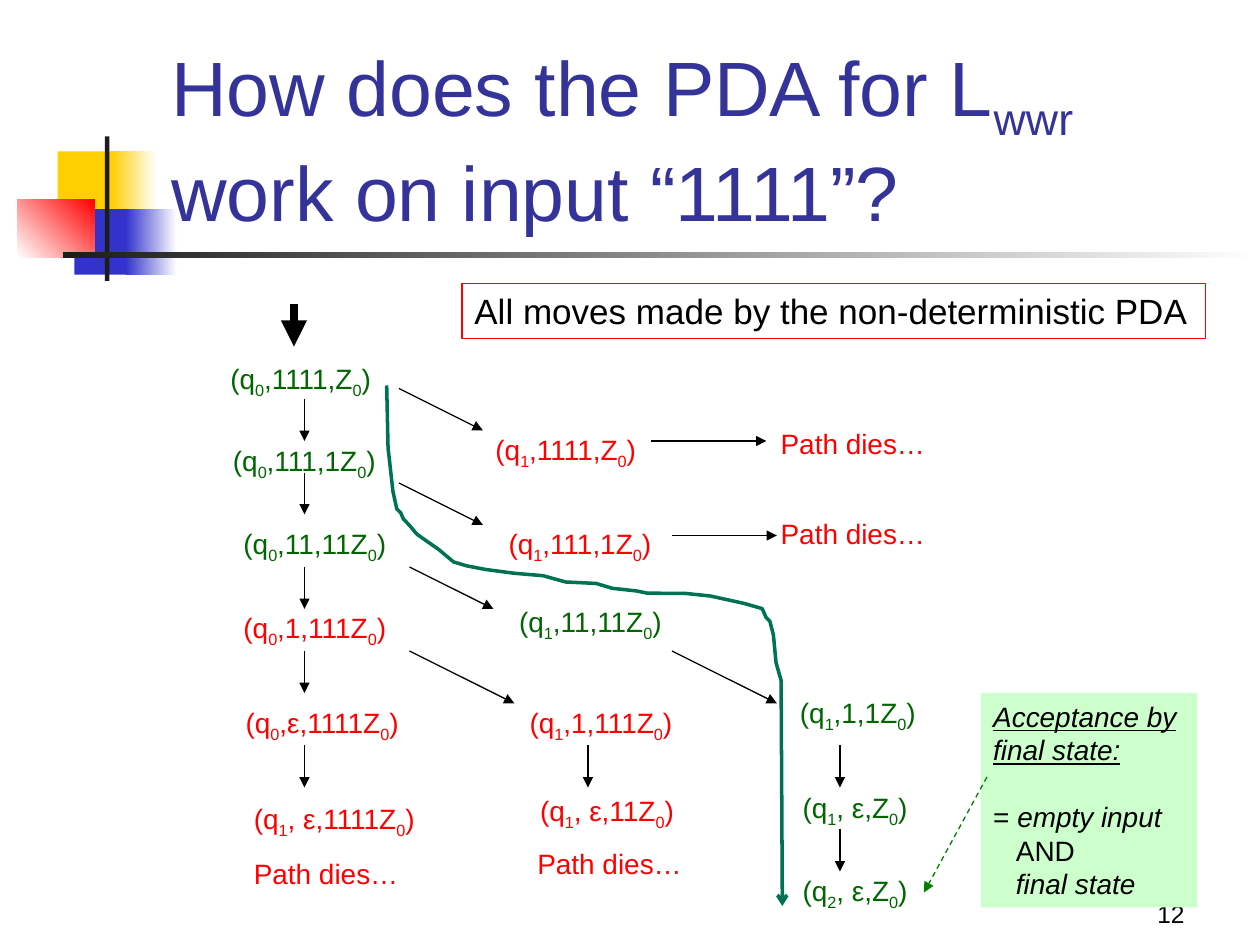
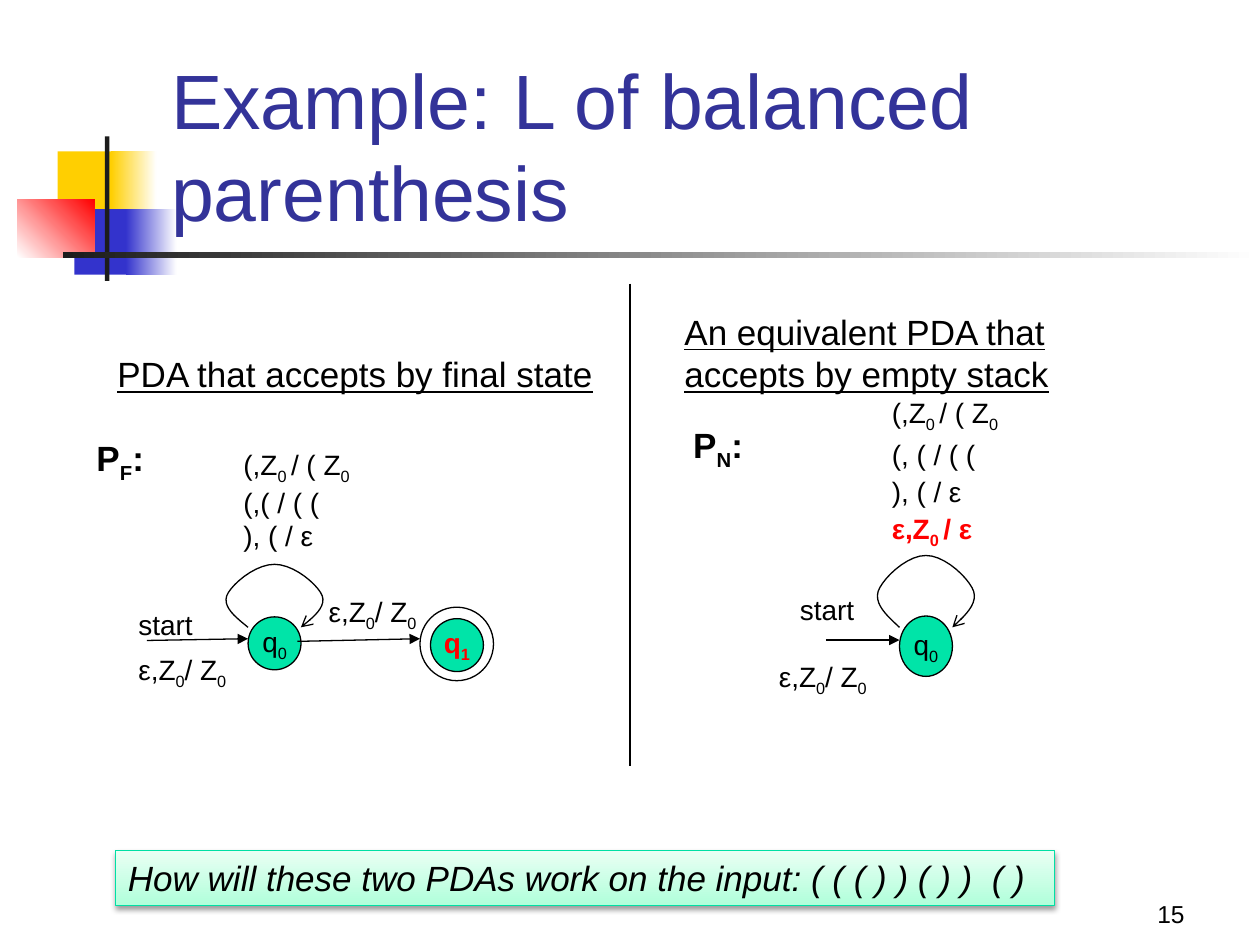
import pptx
import pptx.dml.color
import pptx.enum.dml
import pptx.enum.shapes
import pptx.enum.text
import pptx.oxml
import pptx.oxml.ns
import pptx.util

Pt = pptx.util.Pt
RGBColor = pptx.dml.color.RGBColor
Align = pptx.enum.text.PP_ALIGN
Anchor = pptx.enum.text.MSO_ANCHOR
ShapeType = pptx.enum.shapes.MSO_SHAPE

BLACK = RGBColor(0, 0, 0)
WHITE = RGBColor(255, 255, 255)
INK = RGBColor(0x1C, 0x1C, 0x1C)
YELLOW = RGBColor(0xFF, 0xCF, 0x01)
BLUE = RGBColor(0x33, 0x33, 0xCC)
TITLE_BLUE = RGBColor(0x33, 0x33, 0x99)
RED = RGBColor(255, 0, 0)
GREEN = RGBColor(0, 0x66, 0)
DASH_GREEN = RGBColor(0, 0x80, 0)
TRAIL_GREEN = RGBColor(0, 0x72, 0x54)
PALE_GREEN = RGBColor(0xCC, 0xFF, 0xCC)
STATE_GREEN = RGBColor(0, 0xE4, 0xA8)
BOX_LINE = RGBColor(0, 0xDF, 0xA4)
BOX_DARK = RGBColor(0xB0, 0xFF, 0xDA)
BOX_LIGHT = RGBColor(0xEA, 0xFF, 0xF4)
FONT = "Arial"
STACK_MOVE = "ε,Z~0~/ Z~0~"


def write_text(shape, lines, size=16, color=BLACK, bold=False, italic=False,
               underline=False, align=Align.LEFT, anchor=Anchor.TOP, wrap=True):
    """Write one paragraph per line; text between tildes is subscript."""
    frame = shape.text_frame
    frame.word_wrap = wrap
    frame.vertical_anchor = anchor
    for index, line in enumerate(lines):
        paragraph = frame.add_paragraph() if index else frame.paragraphs[0]
        paragraph.alignment = align
        for position, piece in enumerate(line.split("~")):
            if not piece:
                continue
            run = paragraph.add_run()
            run.text = piece
            font = run.font
            font.name, font.size, font.color.rgb = FONT, Pt(size), color
            font.bold, font.italic, font.underline = bold, italic, underline
            if position % 2:
                font._element.set("baseline", "-25000")
    return frame.paragraphs


def add_text(slide, left, top, width, height, *lines, **style):
    """Add a text box and return it."""
    box = slide.shapes.add_textbox(Pt(left), Pt(top), Pt(width), Pt(height))
    write_text(box, lines, **style)
    return box


def fill_gradient(shape, start, end, angle=0):
    """Fill a shape with a two-colour gradient, angle counter-clockwise."""
    shape.fill.gradient()
    shape.fill.gradient_angle = angle
    for stop, color in zip(shape.fill.gradient_stops, (start, end)):
        stop.color.rgb = color


def set_line(shape, color, width=0.75):
    """Give a shape a solid outline."""
    shape.line.color.rgb = color
    shape.line.width = Pt(width)


def add_effects(shape, content=""):
    """Set the effect list of a shape; empty means no shadow."""
    namespace = pptx.oxml.ns.nsdecls("a")
    shape._element.spPr.append(pptx.oxml.parse_xml(
        f"<a:effectLst {namespace}>{content}</a:effectLst>"))


def add_arrowhead(shape, kind):
    """Put an arrowhead at the end of a line."""
    namespace = pptx.oxml.ns.nsdecls("a")
    shape.line._get_or_add_ln().append(pptx.oxml.parse_xml(
        f'<a:tailEnd {namespace} type="{kind}"/>'))


def add_line(slide, x1, y1, x2, y2, color=BLACK, width=0.75, arrow=True, dashed=False):
    """Add a straight line, with an arrowhead unless told otherwise."""
    line = slide.shapes.add_connector(
        pptx.enum.shapes.MSO_CONNECTOR.STRAIGHT, Pt(x1), Pt(y1), Pt(x2), Pt(y2))
    set_line(line, color, width)
    if dashed:
        line.line.dash_style = pptx.enum.dml.MSO_LINE.DASH
    if arrow:
        add_arrowhead(line, "triangle")
    add_effects(line)


def add_curve(slide, points, color, width):
    """Add an open outline through the points, ending in an arrowhead."""
    places = [(Pt(x), Pt(y)) for x, y in points]
    builder = slide.shapes.build_freeform(*places[0], scale=1.0)
    builder.add_line_segments(places[1:], close=False)
    curve = builder.convert_to_shape()
    curve.shadow.inherit = False
    curve.fill.background()
    set_line(curve, color, width)
    add_arrowhead(curve, "arrow")


def bezier(p0, p1, p2, p3, steps=10):
    """Return points along a cubic curve."""
    weights = [((1 - t) ** 3, 3 * t * (1 - t) ** 2, 3 * t * t * (1 - t), t ** 3)
               for t in (step / steps for step in range(steps + 1))]
    return [tuple(sum(w * p[axis] for w, p in zip(row, (p0, p1, p2, p3)))
                  for axis in (0, 1)) for row in weights]


def add_loop(slide, left, bottom, stretch=1):
    """Add the self-loop above a state: a half curve and its mirror image."""
    shoulder = (-12.2, -18)
    half = bezier((0, 0), (-7.2, -5.8), (-14.4, -11.5), shoulder)
    half += bezier(shoulder, (-10.1, -23.8), (3.6, -36), (15.1, -36))[1:]
    whole = half + [(30.2 - x, y) for x, y in reversed(half[:-1])]
    add_curve(slide, [(left + x, bottom + y * stretch) for x, y in whole], BLACK, 0.75)


def add_state(slide, left, top, width, height, name="", color=BLACK, bold=False):
    """Add an automaton state; without a name it is an empty ring."""
    state = slide.shapes.add_shape(ShapeType.OVAL, Pt(left), Pt(top), Pt(width), Pt(height))
    state.shadow.inherit = False
    set_line(state, BLACK)
    if name:
        state.fill.solid()
        state.fill.fore_color.rgb = STATE_GREEN
        write_text(state, [name], color=color, bold=bold, align=Align.CENTER,
                   anchor=Anchor.MIDDLE, wrap=False)
    else:
        state.fill.background()


def add_band(slide, left, top, width, height, start, end=None, angle=0):
    """Add one borderless block of the title decoration."""
    band = slide.shapes.add_shape(
        ShapeType.RECTANGLE, Pt(left), Pt(top), Pt(width), Pt(height))
    band.shadow.inherit = False
    band.line.fill.background()
    if end is None:
        band.fill.solid()
        band.fill.fore_color.rgb = start
    else:
        fill_gradient(band, start, end, angle)


def add_base_slide(presentation, title, number):
    """Add a slide with decoration, title and slide number."""
    slide = presentation.slides.add_slide(presentation.slide_layouts[6])
    add_band(slide, 33, 86.5, 34.5, 37.5, YELLOW)
    add_band(slide, 63.5, 86.5, 26, 37.5, YELLOW, WHITE)
    add_band(slide, 42.5, 119.5, 33, 37.5, BLUE)
    add_band(slide, 72, 119.5, 29, 37.5, BLUE, WHITE)
    add_band(slide, 10, 113.75, 44, 33.25, WHITE, RED, 45)
    add_band(slide, 60, 78, 2.5, 82.5, INK)
    add_band(slide, 36, 144, 684, 3.5, INK, WHITE)
    add_text(slide, 534, 498, 150, 36, str(number), size=14,
             align=Align.RIGHT, anchor=Anchor.BOTTOM)
    add_text(slide, 90.75, 49, 613.5, 90, title, size=44, color=TITLE_BLUE,
             anchor=Anchor.BOTTOM)
    return slide


def add_acceptance_note(slide):
    """Add the green note that explains acceptance."""
    box = add_text(slide, 560.5, 396, 123.75, 122.5, "Acceptance by", "final state:",
                   "= ~empty input", "AND", "final state", italic=True)
    box.fill.solid()
    box.fill.fore_color.rgb = PALE_GREEN
    first, second, rule, conjunction, last = box.text_frame.paragraphs
    for run in first.runs + second.runs:
        run.font.underline = True
    rule.space_before = Pt(19)
    rule.runs[0].font.italic = conjunction.runs[0].font.italic = False
    rule.runs[1].font._element.set("baseline", "0")
    for paragraph in (conjunction, last):
        paragraph._p.get_or_add_pPr().set("marL", str(Pt(13)))


def build_moves_slide(presentation):
    """Build the tree of moves on input 1111."""
    slide = add_base_slide(
        presentation, "How does the PDA for L~wwr~ work on input “1111”?", 12)
    configurations = [
        (124.5, 203, 0, "1111,", GREEN), (126, 250, 0, "111,1", GREEN),
        (132, 297.5, 0, "11,11", GREEN), (132, 345.5, 0, "1,111", RED),
        (133.25, 399.5, 0, "ε,1111", RED), (138, 454.5, 1, " ε,1111", RED),
        (301.5, 450, 1, " ε,11", RED), (295.5, 399.5, 1, "1,111", RED),
        (289.5, 342, 1, "11,11", GREEN), (283.5, 297.5, 1, "111,1", RED),
        (276, 243.5, 1, "1111,", RED), (450, 394, 1, "1,1", GREEN),
        (451.5, 448, 1, " ε,", GREEN), (451.5, 495.5, 2, " ε,", GREEN)]
    for left, top, state, rest, color in configurations:
        add_text(slide, left, top, 120, 26.5, f"(q~{state}~,{rest}Z~0~)", color=color)
    for left, top in [(439, 240), (439, 291.5), (300, 480), (138, 486)]:
        add_text(slide, left, top, 106.5, 26.5, "Path dies…", color=RED)

    for x, y in [(174, 228), (174, 270), (174, 324), (174, 372), (174, 426),
                 (336, 426), (480, 426), (480, 474)]:
        add_line(slide, x, y, x, y + 24)
    for x, y, width, height in [
            (228, 222, 48, 24), (228, 276, 48, 24), (234, 324, 48, 24),
            (234, 372, 60, 30), (384, 372, 60, 30), (372, 252, 66, 0),
            (384, 306, 60, 0)]:
        add_line(slide, x, y, x + width, y + height)

    add_acceptance_note(slide)
    add_line(slide, 564, 444, 528, 510, DASH_GREEN, dashed=True)
    heading = add_text(slide, 264, 162, 425, 31.5,
                       "All moves made by the non-deterministic PDA", size=20)
    set_line(heading, RED)
    accepting_trail = [
        (221, 220.3), (221.8, 256.3), (222.5, 262), (224.6, 280.8), (226.8, 290.9),
        (229, 293), (230.5, 296.5), (234, 300.2), (238.3, 305.3), (243.4, 308.9),
        (250.6, 313.9), (259.2, 321.1), (266.4, 323.3), (277.2, 325.4),
        (293.8, 327.6), (310.3, 329), (323.3, 332.6), (340.6, 333.4),
        (349.9, 336.2), (363.6, 337.7), (370, 339), (391.7, 339.1), (406, 340.6),
        (425.5, 344.9), (435.6, 347.8), (437.8, 352.8), (440, 355), (442, 362.9),
        (443.5, 378.7), (446.4, 388.8), (447.1, 517.7)]
    add_curve(slide, accepting_trail, TRAIL_GREEN, 2)
    add_line(slide, 168, 174, 168, 198, width=5)


def build_parenthesis_slide(presentation):
    """Build the two automata for balanced parentheses."""
    slide = add_base_slide(presentation, "Example: L of balanced parenthesis", 15)
    add_line(slide, 360, 162, 360, 438, arrow=False)

    add_text(slide, 60, 198, 288, 31.5, "PDA that accepts by final state",
             size=20, underline=True)
    add_text(slide, 48, 246, 48, 31.5, "P~F~:", size=20, bold=True)
    add_text(slide, 132, 252, 90, 65.5, "(,Z~0 ~/ ( Z~0~", "(,( / ( (", "), ( / ε")
    add_state(slide, 141.75, 352.5, 30.25, 30.25, "q~0~")
    add_loop(slide, 141.75, 358.5)
    add_line(slide, 84, 366, 141.75, 365)
    add_line(slide, 170, 366.5, 240, 365)
    add_state(slide, 240, 347, 42, 42)
    add_state(slide, 246, 353.5, 30.25, 30.25, "q~1~", RED, True)
    add_text(slide, 72, 343.5, 60, 26.5, "start")
    add_text(slide, 180.75, 336, 72, 26.5, STACK_MOVE)
    add_text(slide, 72, 369.5, 72, 26.5, STACK_MOVE)

    add_text(slide, 384, 174, 240, 64, "An equivalent PDA that", "accepts by empty stack",
             size=20, underline=True)
    add_text(slide, 389, 238.5, 48, 31.5, "P~N~:", size=20, bold=True)
    moves = add_text(slide, 502.5, 222.5, 90, 97, "(,Z~0 ~/ ( Z~0~", "(, ( / ( (",
                     "), ( / ε", "ε,Z~0 ~/ ε")
    for paragraph in moves.text_frame.paragraphs[1:]:
        paragraph.space_before = Pt(2)
    for run in moves.text_frame.paragraphs[-1].runs:
        run.font.bold = True
        run.font.color.rgb = RED
    add_state(slide, 514, 352, 30.25, 34.5, "q~0~")
    add_loop(slide, 514, 358.5, 1.14)
    add_line(slide, 472, 365.75, 514, 365.75)
    add_text(slide, 450, 335, 60, 31, "start")
    add_text(slide, 438, 373.5, 72, 31, STACK_MOVE)

    question = add_text(slide, 66, 486, 536.5, 31.5,
                        "How will these two PDAs work on the input: ( ( ( ) ) ( ) )  ( )",
                        size=20, italic=True)
    fill_gradient(question, BOX_DARK, BOX_LIGHT, 90)
    set_line(question, BOX_LINE)
    add_effects(question, f'<a:outerShdw blurRad="{Pt(3.1)}" dist="{Pt(1.6)}" dir="5400000">'
                '<a:srgbClr val="000000"><a:alpha val="38000"/></a:srgbClr></a:outerShdw>')


def main():
    """Create the presentation and save it."""
    presentation = pptx.Presentation()
    presentation.slide_width, presentation.slide_height = Pt(720), Pt(540)
    build_moves_slide(presentation)
    build_parenthesis_slide(presentation)
    presentation.save("out.pptx")


main()
